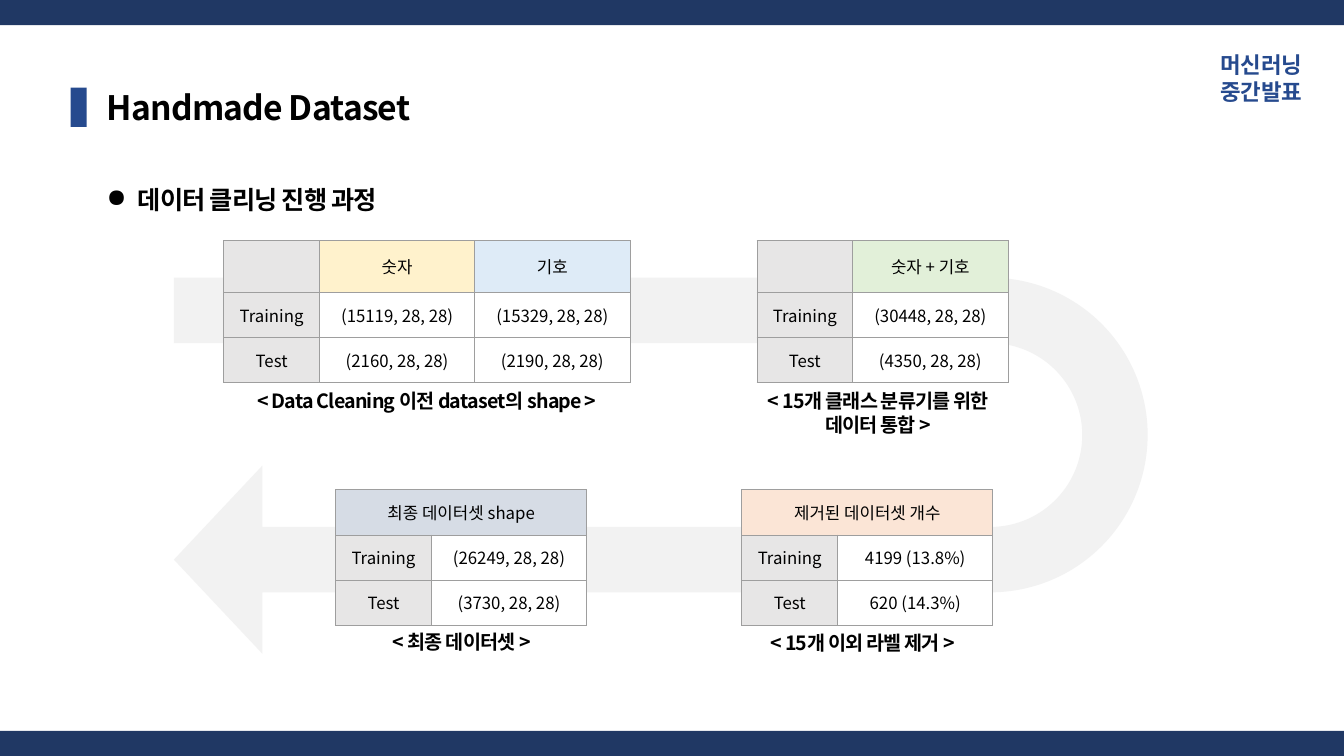
from lxml import etree
from pptx import Presentation
from pptx import util as u
from pptx.dml.color import RGBColor
from pptx.enum import shapes, text
from pptx.oxml import ns

UNIT = u.Inches(0.1)  # one column or row of the slide grid
COLUMNS, ROWS = 133.33, 75
FONT = "Noto Sans CJK KR"
BLACK, WHITE, NAVY, BLUE = "000000", "FFFFFF", "203864", "264A8E"
LABEL_GREY, BORDER_GREY, ARROW_GREY = "E7E6E6", "9E9E9E", "F2F2F2"
LABEL_COLUMN, VALUE_COLUMN, TABLE_ROW, TALL_ROW = 9.5, 15.4, 4.48, 5.1
LEFT, CENTER, RIGHT = text.PP_ALIGN.LEFT, text.PP_ALIGN.CENTER, text.PP_ALIGN.RIGHT


def grid(*cells):
    return [u.Emu(round(cell * UNIT)) for cell in cells]


def paint(color_holder, color):
    """Give a fill or a line's fill one solid colour."""
    color_holder.solid()
    color_holder.fore_color.rgb = RGBColor.from_string(color)


def format_paragraph(paragraph, size, color=BLACK, bold=False, align=LEFT, tight=False):
    paragraph.alignment = align
    font = paragraph.font
    font.size, font.bold, font.name = u.Pt(size), bold, FONT
    font.color.rgb = RGBColor.from_string(color)
    properties = paragraph._p.pPr.find(ns.qn("a:defRPr"))
    etree.SubElement(properties, ns.qn("a:ea"), typeface=FONT)
    if tight:
        properties.set("spc", "-60")


def add_block(slide, preset, area, color):
    block = slide.shapes.add_shape(preset, *grid(*area))
    block.shadow.inherit = False
    paint(block.fill, color)
    block.line.fill.background()
    return block


def add_title(slide, words, area):
    title = slide.shapes.title
    title.left, title.top, title.width, title.height = grid(*area)
    frame = title.text_frame
    frame.text = words
    frame.vertical_anchor = text.MSO_ANCHOR.TOP
    frame.auto_size = text.MSO_AUTO_SIZE.NONE
    format_paragraph(frame.paragraphs[0], 24, bold=True, tight=True)


def add_text(slide, words, area, size, bullet=None, **style):
    frame = slide.shapes.add_textbox(*grid(*area)).text_frame
    frame.word_wrap = True
    frame.text = words
    paragraph = frame.paragraphs[0]
    if bullet:
        paragraph.line_spacing = 2.0
        properties = paragraph._p.get_or_add_pPr()
        indent = grid(3.1)[0]
        properties.set("marL", str(indent))
        properties.set("indent", str(-indent))
        etree.SubElement(properties, ns.qn("a:buChar"), char=bullet)
    format_paragraph(paragraph, size, bold=True, **style)


def add_borders(cell):
    properties = cell._tc.get_or_add_tcPr()
    for side in ("lnL", "lnR", "lnT", "lnB"):
        line = etree.SubElement(properties, ns.qn("a:" + side), w=str(u.Pt(0.75)))
        fill = etree.SubElement(line, ns.qn("a:solidFill"))
        etree.SubElement(fill, ns.qn("a:srgbClr"), val=BORDER_GREY)


def fill_cell(cell, words, color):
    add_borders(cell)
    paint(cell.fill, color)
    cell.margin_left = cell.margin_right = cell.margin_top = cell.margin_bottom = UNIT
    cell.vertical_anchor = text.MSO_ANCHOR.MIDDLE
    cell.text = words
    format_paragraph(cell.text_frame.paragraphs[0], 12, align=CENTER)


def add_shape_table(slide, left, top, heads, head_colors, training, test):
    """Add a Training/Test table; a single head spans the whole first row."""
    rows = [heads, ["Training", *training], ["Test", *test]]
    spanned = len(heads) == 1
    widths = [LABEL_COLUMN] + [VALUE_COLUMN] * len(training)
    heights = [TABLE_ROW if spanned else TALL_ROW, TABLE_ROW, TABLE_ROW]
    frame = slide.shapes.add_table(
        len(rows), len(widths), *grid(left, top, sum(widths), sum(heights)))
    table = frame.table
    table.first_row = table.horz_banding = False
    for column, width in zip(table.columns, grid(*widths)):
        column.width = width
    for row, height in zip(table.rows, grid(*heights)):
        row.height = height
    if spanned:
        table.cell(0, 0).merge(table.cell(0, len(widths) - 1))
    for r, row in enumerate(rows):
        colors = [LABEL_GREY] + [WHITE] * len(training) if r else head_colors
        for c, (words, color) in enumerate(zip(row, colors)):
            fill_cell(table.cell(r, c), words, color)


def main():
    deck = Presentation()
    deck.slide_width, deck.slide_height = grid(COLUMNS, ROWS)
    slide = deck.slides.add_slide(deck.slide_layouts[5])
    preset = shapes.MSO_SHAPE

    bar = 2.5
    for top in (0, ROWS - bar):
        add_block(slide, preset.RECTANGLE, (0, top, COLUMNS, bar), NAVY)
    add_title(slide, "Handmade Dataset", (9.6, 8.1, 68.9, 5))
    add_block(slide, preset.RECTANGLE, (7, 8.7, 1.6, 3.9), BLUE)
    add_text(slide, "머신러닝\v중간발표", (111.8, 4.6, 18.4, 6.4), 16,
             color=BLUE, align=RIGHT)

    flow = add_block(slide, preset.U_TURN_ARROW, (46.9, -2.1, 37.3, 96.6), ARROW_GREY)
    flow.rotation = 90
    for index, share in enumerate((0.174, 0.25, 0.235, 0.438, 1)):
        flow.adjustments[index] = share

    upper, lower = 23.9, 48.6
    tables = [
        (22.2, upper, ["", "숫자", "기호"], [LABEL_GREY, "FFF2CC", "DEEBF7"],
         ["(15119, 28, 28)", "(15329, 28, 28)"], ["(2160, 28, 28)", "(2190, 28, 28)"]),
        (75.1, upper, ["", "숫자 + 기호"], [LABEL_GREY, "E2F0D9"],
         ["(30448, 28, 28)"], ["(4350, 28, 28)"]),
        (73.6, lower, ["제거된 데이터셋 개수"], ["FBE5D6"],
         ["4199 (13.8%)"], ["620 (14.3%)"]),
        (33.3, lower, ["최종 데이터셋 shape"], ["D6DCE5"],
         ["(26249, 28, 28)"], ["(3730, 28, 28)"]),
    ]
    for table in tables:
        add_shape_table(slide, *table)

    captions = [
        ("< Data Cleaning 이전 dataset의 shape >", (22.7, 38.1, 39.3, 3.4)),
        ("< 15개 클래스 분류기를 위한 데이터 통합 >", (72.9, 38.1, 28.4, 5.7)),
        ("< 15개 이외 라벨 제거 >", (71.4, 62.1, 28.4, 3.4)),
        ("< 최종 데이터셋 >", (31.6, 62, 28.4, 3.4)),
    ]
    for words, area in captions:
        add_text(slide, words, area, 14, align=CENTER, tight=True)
    add_text(slide, "데이터 클리닝 진행 과정", (9.6, 14.8, 66.7, 6.2), 18,
             bullet="●", tight=True)
    deck.save("out.pptx")


if __name__ == "__main__":
    main()
